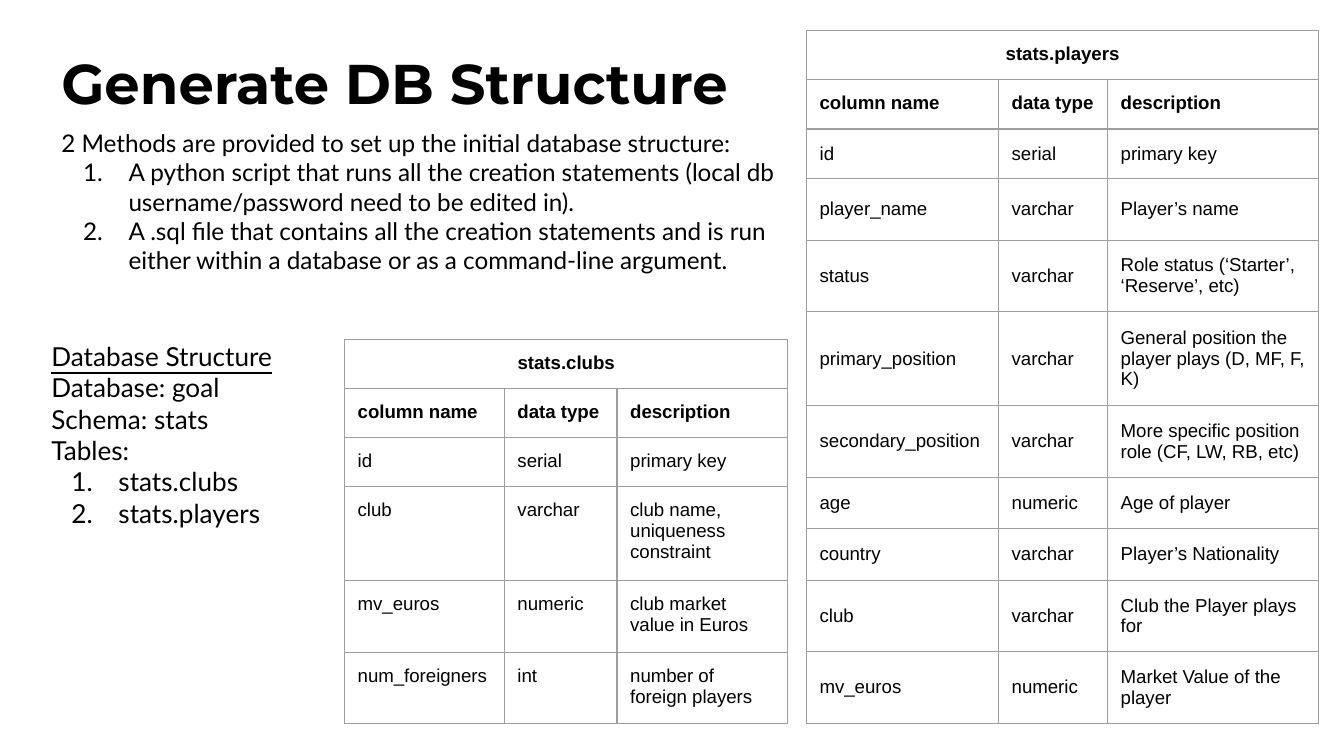
"""Build a slide that describes a database structure."""
from pptx import Presentation, util as u
from pptx.dml import color
from pptx.enum import text
from pptx.oxml import xmlchemy

INSET = 0.25
BLACK, WHITE, GREY = "000000", "FFFFFF", "9E9E9E"
HEADINGS = ("column name", "data type", "description")

CLUBS = [
    ("id", "serial", "primary key"),
    ("club", "varchar", "club name, uniqueness constraint"),
    ("mv_euros", "numeric", "club market value in Euros"),
    ("num_foreigners", "int", "number of foreign players"),
]
PLAYERS = [
    ("id", "serial", "primary key"),
    ("player_name", "varchar", "Player’s name"),
    ("status", "varchar", "Role status (‘Starter’, ‘Reserve’, etc)"),
    ("primary_position", "varchar", "General position the player plays (D, MF, F, K)"),
    ("secondary_position", "varchar", "More specific position role (CF, LW, RB, etc)"),
    ("age", "numeric", "Age of player"),
    ("country", "varchar", "Player’s Nationality"),
    ("club", "varchar", "Club the Player plays for"),
    ("mv_euros", "numeric", "Market Value of the player"),
]


def paint(target, value):
    """Set a colour from a hex string."""
    target.rgb = color.RGBColor.from_string(value)


def add_element(parent, tag, **attributes):
    """Append a drawing element with attributes to its parent."""
    element = xmlchemy.OxmlElement(tag)
    for name, value in attributes.items():
        element.set(name, str(value))
    parent.append(element)
    return element


def set_insets(holder):
    """Give a cell or a text frame equal margins."""
    for side in ("left", "top", "right", "bottom"):
        setattr(holder, f"margin_{side}", u.Cm(INSET))


def add_span(para, words, font, size, bold=False, underline=False):
    """Add one run of styled text."""
    span = para.add_run()
    span.text = words
    span.font.name, span.font.size = font, u.Pt(size)
    span.font.bold, span.font.underline = bold, underline
    paint(span.font.color, BLACK)


def number_paragraph(para, hanging):
    """Turn a paragraph into a numbered list item."""
    properties = para._p.get_or_add_pPr()
    properties.set("marL", str(u.Cm(1.27)))
    properties.set("indent", str(-u.Cm(hanging)))
    add_element(add_element(properties, "a:buClr"), "a:srgbClr", val=BLACK)
    add_element(properties, "a:buAutoNum", type="arabicPeriod")


def add_text(page, box, lines, font, size, items=(), hanging=0, bold=False, underlined=None):
    """Place a text box with plain lines followed by numbered items."""
    frame = page.shapes.add_textbox(*map(u.Cm, box)).text_frame
    frame.word_wrap = True
    set_insets(frame)
    for index, words in enumerate([*lines, *items]):
        para = frame.add_paragraph() if index else frame.paragraphs[0]
        if index >= len(lines):
            number_paragraph(para, hanging)
        add_span(para, words, font, size, bold, words == underlined)


def style_cell(cell, anchor):
    """Set the margins, anchor, borders and empty fill of a cell."""
    set_insets(cell)
    cell.vertical_anchor = anchor
    properties = cell._tc.get_or_add_tcPr()
    for edge in "LRTB":
        line = add_element(properties, f"a:ln{edge}", w=u.Pt(0.75))
        add_element(add_element(line, "a:solidFill"), "a:srgbClr", val=GREY)
    cell.fill.background()


def add_schema_table(page, left, top, widths, heights, title, records, anchor):
    """Place a table of columns under a merged title row."""
    rows = [(title, "", ""), HEADINGS, *records]
    frame = page.shapes.add_table(
        len(rows), len(widths), u.Cm(left), u.Cm(top), u.Cm(sum(widths)), u.Cm(sum(heights)))
    table = frame.table
    table.first_row = table.horz_banding = False
    for column, width in zip(table.columns, widths):
        column.width = u.Cm(width)
    for r, (words, height) in enumerate(zip(rows, heights)):
        table.rows[r].height = u.Cm(height)
        for c, word in enumerate(words):
            cell = table.cell(r, c)
            style_cell(cell, anchor if r > 1 else text.MSO_ANCHOR.TOP)
            if word:
                add_span(cell.text_frame.paragraphs[0], word, "Arial", 10, bold=r < 2)
    table.cell(0, 0).merge(table.cell(0, len(widths) - 1))
    table.cell(0, 0).text_frame.paragraphs[0].alignment = text.PP_ALIGN.CENTER


def build_page(page):
    """Fill the page with its title, texts and two tables."""
    page.background.fill.solid()
    paint(page.background.fill.fore_color, WHITE)
    add_text(page, (0.91, 0.66, 14, 1.78), ["Generate DB Structure"], "Montserrat", 30, bold=True)
    add_text(
        page, (0.91, 2.18, 14.12, 3.3),
        ["2 Methods are provided to set up the initial database structure:"], "Lato", 13,
        ["A python script that runs all the creation statements "
         "(local db username/password need to be edited in).",
         "A .sql file that contains all the creation statements and is run "
         "either within a database or as a command-line argument."], 0.86)
    add_text(
        page, (0.72, 6.18, 6.1, 4.11),
        ["Database Structure", "Database: goal", "Schema: stats", "Tables:"], "Lato", 14,
        ["stats.clubs", "stats.players"], 0.89, underlined="Database Structure")
    add_schema_table(
        page, 6.51, 6.41, (3.02, 2.13, 3.23), (0.93, 0.93, 0.93, 1.78, 1.35, 1.35),
        "stats.clubs", CLUBS, text.MSO_ANCHOR.TOP)
    add_schema_table(
        page, 15.24, 0.58, (3.63, 2.06, 3.99),
        (0.93, 0.93, 0.93, 1.17, 1.35, 1.78, 1.35, 0.97, 0.98, 1.35, 1.35),
        "stats.players", PLAYERS, text.MSO_ANCHOR.MIDDLE)


deck = Presentation()
deck.slide_width, deck.slide_height = u.Cm(25.4), u.Cm(14.29)
build_page(deck.slides.add_slide(deck.slide_layouts[6]))
deck.save("out.pptx")
